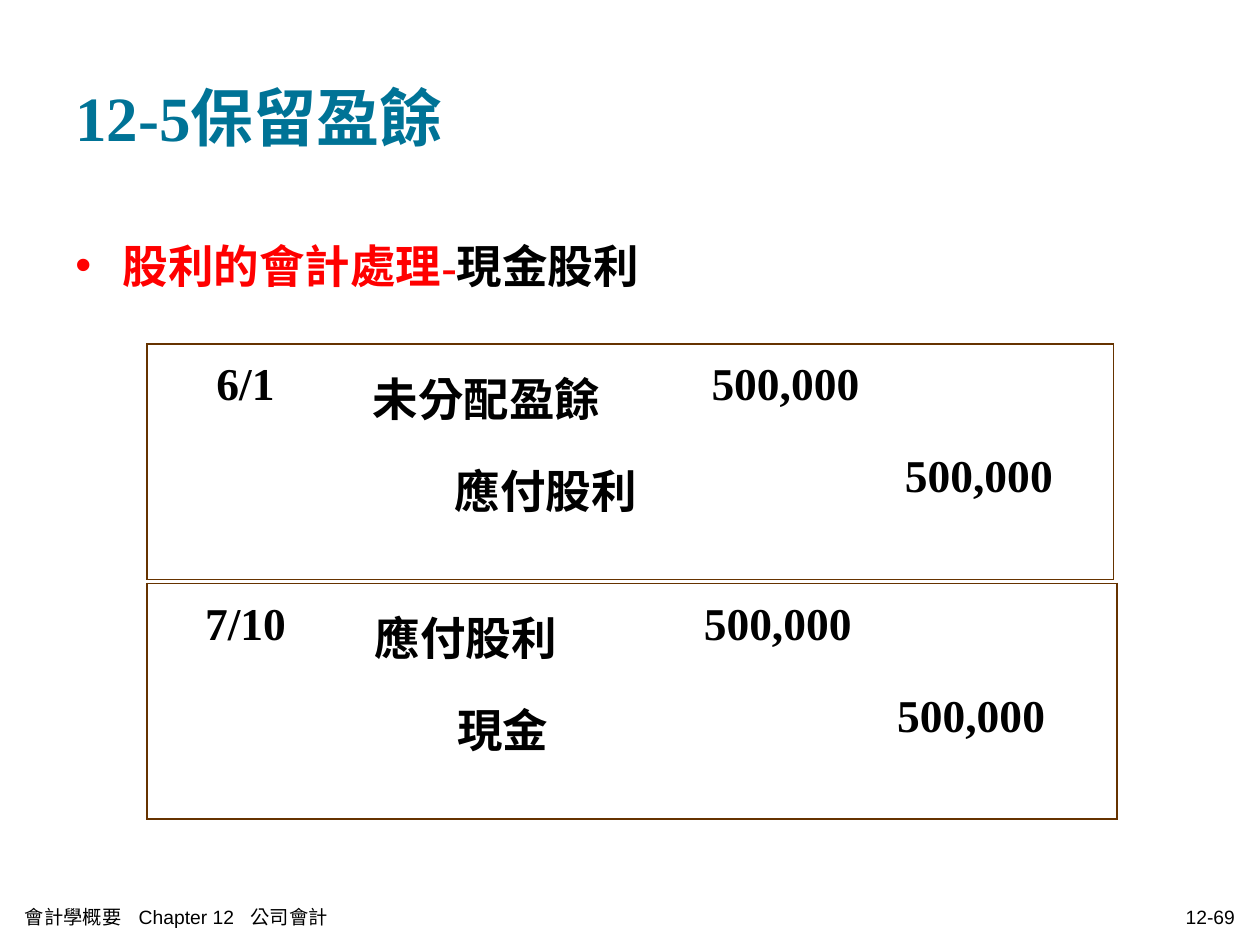
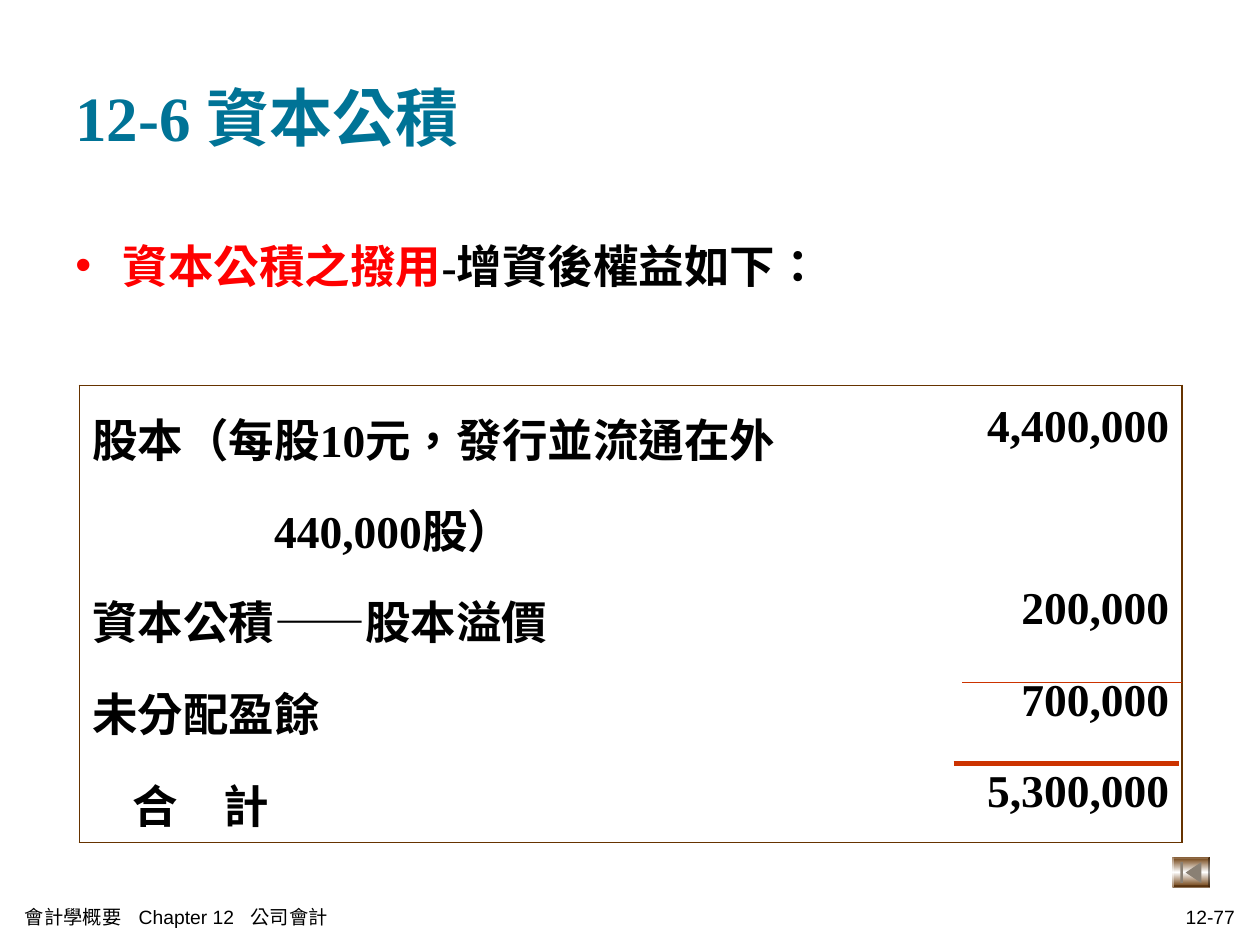
"""Build two accounting slides on dividends and capital surplus."""
import copy

import pptx
import pptx.dml.color
import pptx.enum.lang
import pptx.enum.shapes
import pptx.enum.text
import pptx.oxml
import pptx.oxml.ns
import pptx.util

Pt = pptx.util.Pt
qn = pptx.oxml.ns.qn
Align = pptx.enum.text.PP_ALIGN
Shapes = pptx.enum.shapes.MSO_SHAPE

COLORS = {"title": "007396", "accent": "FF0000", "text": "000000",
          "border": "663300", "rule": "CC3300", "light": "FFFFFF", "icon": "8A8074"}
SERIF, SANS = "Times New Roman", "Arial"
FOOTER = "會計學概要\tChapter 12\t公司會計"
FOOTER_TABS = (65, 129)
BODY_SIZE = 26
BORDER_WIDTH = 1.08

SLIDES = [
    {
        "title": "12-5保留盈餘",
        "topic": [("股利的會計處理-", "accent"), ("現金股利", "text")],
        "number": "12-69",
        "tables": [
            {"at": (84, 196.6), "columns": (121.7, 193.7, 236.9), "rows": (52.4, 82.1),
             "cells": [[[("6/1", 32.5)], [("未分配盈餘", 0)], [("500,000", 0)]],
                       [[], [("應付股利", 47)], [("500,000", 110.5)]]]},
            {"at": (84, 333.4), "columns": (123.1, 187.9, 243.4), "rows": (52.4, 82.1),
             "cells": [[[("7/10", 26)], [("應付股利", 0)], [("500,000", 0)]],
                       [[], [("現金", 47)], [("500,000", 110.5)]]]},
        ],
        "rules": [],
        "button": None,
    },
    {
        "title": "12-6 資本公積",
        "topic": [("資本公積之撥用", "accent"), ("-增資後權益如下：", "text")],
        "number": "12-77",
        "tables": [
            {"at": (45.4, 220.3), "columns": (486, 144), "rows": (104, 52.4, 52.4, 52.4),
             "right_column": 1,
             "cells": [[[("股本（每股10元，發行並流通在外", 0), ("440,000股）", 104)],
                        [("4,400,000", 0)]],
                       [[("資本公積——股本溢價", 0)], [("200,000", 0)]],
                       [[("未分配盈餘", 0)], [("700,000", 0)]],
                       [[("合　計", 23)], [("5,300,000", 0)]]]},
        ],
        "rules": [(550, 675.4, 390.2, 0.75), (545, 674, 436.3, 3)],
        "button": (670, 489.6),
    },
]


def color(name):
    return pptx.dml.color.RGBColor.from_string(COLORS[name])


def add_element(parent, tag, **attributes):
    element = pptx.oxml.parse_xml(f"<{tag} {pptx.oxml.ns.nsdecls('a')}/>")
    for key, value in attributes.items():
        element.set(key, str(value))
    parent.append(element)
    return element


def add_run(paragraph, text, size, color_name="text", font=SERIF):
    run = paragraph.add_run()
    run.text = text
    run.font.name, run.font.size, run.font.bold = font, Pt(size), font == SERIF
    run.font.color.rgb = color(color_name)
    run.font.language_id = pptx.enum.lang.MSO_LANGUAGE_ID.TRADITIONAL_CHINESE


def add_box(slide, left, top, width, height, middle=True):
    frame = slide.shapes.add_textbox(Pt(left), Pt(top), Pt(width), Pt(height)).text_frame
    frame.word_wrap = True
    anchor = pptx.enum.text.MSO_ANCHOR
    frame.vertical_anchor = anchor.MIDDLE if middle else anchor.TOP
    return frame.paragraphs[0]


def add_topic(slide, runs):
    paragraph = add_box(slide, 36, 126, 648, 56, middle=False)
    properties = paragraph._p.get_or_add_pPr()
    properties.set("marL", str(Pt(27)))
    properties.set("indent", str(Pt(-27)))
    add_element(add_element(properties, "a:buClr"), "a:srgbClr", val=COLORS["accent"])
    add_element(properties, "a:buFont", typeface=SANS)
    add_element(properties, "a:buChar", char="•")
    paragraph.line_spacing = 1.2
    for text, color_name in runs:
        add_run(paragraph, text, BODY_SIZE, color_name)


def add_footer(slide, number):
    paragraph = add_box(slide, 7.2, 511.9, 367.2, 23.8)
    tabs = add_element(paragraph._p.get_or_add_pPr(), "a:tabLst")
    for position in FOOTER_TABS:
        add_element(tabs, "a:tab", pos=Pt(position), algn="l")
    add_run(paragraph, FOOTER, 11, font=SANS)
    paragraph = add_box(slide, 487.4, 511.9, 225.4, 23.8)
    paragraph.alignment = Align.RIGHT
    add_run(paragraph, number, 11, font=SANS)


def set_borders(cell, outer):
    properties = cell._tc.get_or_add_tcPr()
    for side, visible in outer.items():
        line = add_element(properties, f"a:ln{side}", w=Pt(BORDER_WIDTH))
        if visible:
            add_element(add_element(line, "a:solidFill"), "a:srgbClr", val=COLORS["border"])
        else:
            add_element(line, "a:noFill")


def fill_cell(cell, lines, align_right):
    for index, (text, indent) in enumerate(lines):
        frame = cell.text_frame
        paragraph = frame.add_paragraph() if index else frame.paragraphs[0]
        paragraph.line_spacing = 1.2
        if index:
            paragraph.space_before = Pt(6.5)
        if indent:
            paragraph._p.get_or_add_pPr().set("marL", str(Pt(indent)))
        if align_right:
            paragraph.alignment = Align.RIGHT
        add_run(paragraph, text, BODY_SIZE)


def add_ledger(slide, ledger):
    widths, heights = ledger["columns"], ledger["rows"]
    left, top = ledger["at"]
    table = slide.shapes.add_table(len(heights), len(widths), Pt(left), Pt(top),
                                   Pt(sum(widths)), Pt(sum(heights))).table
    table.first_row = table.horz_banding = False
    for column, width in zip(table.columns, widths):
        column.width = Pt(width)
    for row, height in zip(table.rows, heights):
        row.height = Pt(height)
    for r, row in enumerate(ledger["cells"]):
        for c, lines in enumerate(row):
            cell = table.cell(r, c)
            set_borders(cell, {"L": c == 0, "R": c == len(widths) - 1,
                               "T": r == 0, "B": r == len(heights) - 1})
            cell.fill.background()
            fill_cell(cell, lines, c == ledger.get("right_column"))


def add_rule(slide, start, end, y, width):
    rule = slide.shapes.add_connector(pptx.enum.shapes.MSO_CONNECTOR.STRAIGHT,
                                      Pt(start), Pt(y), Pt(end), Pt(y))
    rule.line.color.rgb = color("rule")
    rule.line.width = Pt(width)
    add_element(rule._element.spPr, "a:effectLst")


def add_back_button(slide, left, top):
    button = slide.shapes.add_shape(Shapes.BEVEL, Pt(left), Pt(top), Pt(21.4), Pt(17.6))
    button.adjustments[0] = 0.06
    button.fill.gradient()
    button.fill.gradient_angle = 90
    stops = button._element.spPr.find(".//" + qn("a:gsLst"))
    stops.insert(1, copy.deepcopy(stops[0]))
    stops[1].set("pos", "50000")
    for stop, name in zip(button.fill.gradient_stops, ("border", "light", "border")):
        stop.color.rgb = color(name)
    bar = slide.shapes.add_shape(Shapes.RECTANGLE, Pt(left + 4.5), Pt(top + 3),
                                 Pt(1.5), Pt(12))
    builder = slide.shapes.build_freeform(Pt(left + 7.5), Pt(top + 9))
    builder.add_line_segments([(Pt(left + 16.5), Pt(top + 3)),
                               (Pt(left + 16.5), Pt(top + 15))], close=True)
    arrow = builder.convert_to_shape()
    for icon in (bar, arrow):
        icon.fill.solid()
        icon.fill.fore_color.rgb = color("icon")
    for shape in (button, bar, arrow):
        shape.line.fill.background()
        shape.shadow.inherit = False


def main():
    presentation = pptx.Presentation()
    presentation.slide_width, presentation.slide_height = Pt(720), Pt(540)
    for content in SLIDES:
        slide = presentation.slides.add_slide(presentation.slide_layouts[6])
        add_run(add_box(slide, 36, 21.6, 648, 90), content["title"], 36, "title")
        add_topic(slide, content["topic"])
        for ledger in content["tables"]:
            add_ledger(slide, ledger)
        for rule in content["rules"]:
            add_rule(slide, *rule)
        if content["button"]:
            add_back_button(slide, *content["button"])
        add_footer(slide, content["number"])
    presentation.save("out.pptx")


if __name__ == "__main__":
    main()
